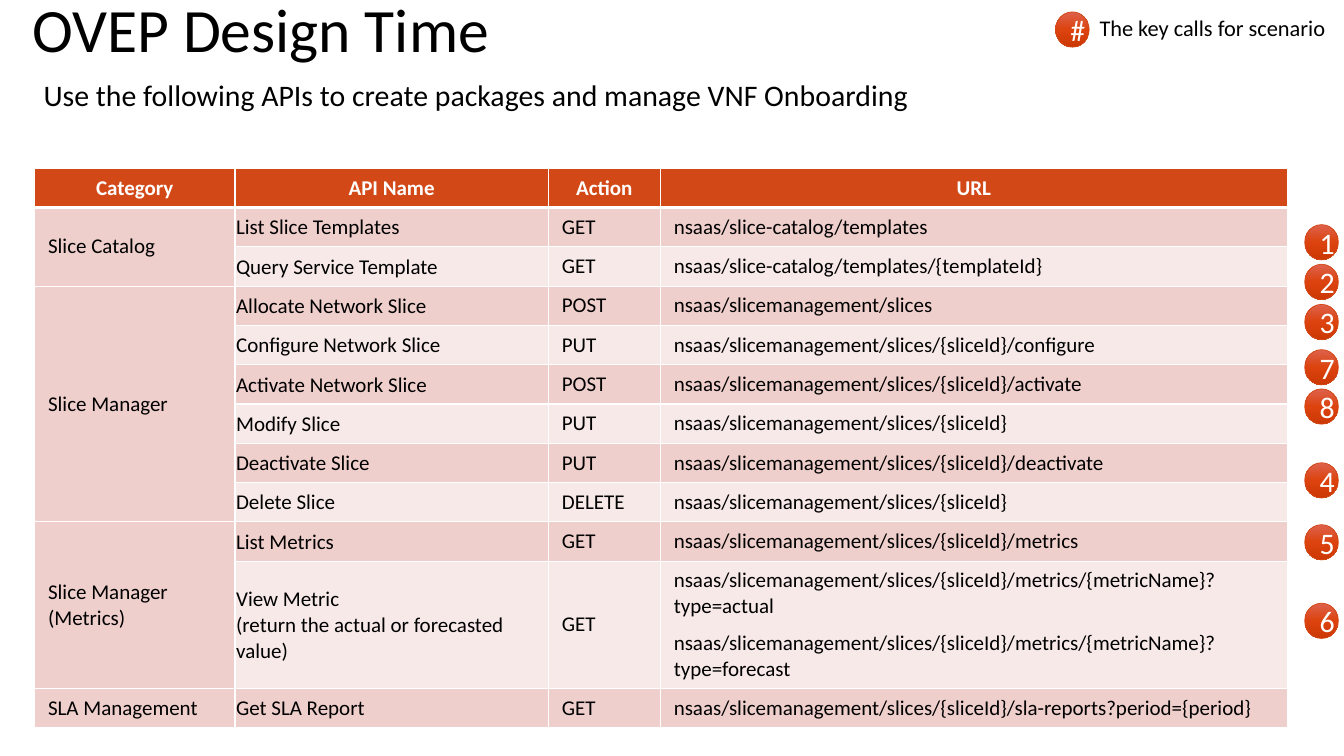
from lxml import etree
from pptx import Presentation
from pptx.dml.color import RGBColor
from pptx.enum.shapes import MSO_SHAPE as Preset
from pptx.enum.text import MSO_ANCHOR as Anchor, MSO_AUTO_SIZE as AutoSize, PP_ALIGN as Align
from pptx.oxml import parse_xml
from pptx.oxml.ns import nsdecls, qn
from pptx.util import Cm, Pt

ORANGE, DARK_BAND, LIGHT_BAND = "D34817", "EFCFCC", "F7E9E8"
BLACK, WHITE = "000000", "FFFFFF"
BADGE_STOPS = {0: "DD624D", 50000: "DC430E", 100000: "CC3804"}
BADGE_WIDTH, BADGE_HEIGHT = Cm(0.85), Cm(0.89)
BADGE_LEFT = Cm(32.88)
BADGE_TOPS = {"1": 5.66, "2": 6.66, "3": 7.67, "4": 11.66,
              "5": 13.22, "6": 15.2, "7": 8.81, "8": 9.8}

HEADINGS = ["Category", "API Name", "Action", "URL"]
COLUMN_WIDTHS = [5.05, 7.9, 2.82, 15.8]
ROW_HEIGHT, METRIC_ROW_HEIGHT = Cm(0.99), Cm(3.21)
CATALOG = "nsaas/slice-catalog/templates"
SLICES = "nsaas/slicemanagement/slices"
SLICE = SLICES + "/{sliceId}"
METRIC = SLICE + "/metrics/{metricName}?type="
CATEGORIES = [
    ("Slice Catalog", [
        ("List Slice Templates", "GET", CATALOG),
        ("Query Service Template", "GET", CATALOG + "/{templateId}"),
    ]),
    ("Slice Manager", [
        ("Allocate Network Slice", "POST", SLICES),
        ("Configure Network Slice", "PUT", SLICE + "/configure"),
        ("Activate Network Slice", "POST", SLICE + "/activate"),
        ("Modify Slice", "PUT", SLICE),
        ("Deactivate Slice", "PUT", SLICE + "/deactivate"),
        ("Delete Slice", "DELETE", SLICE),
    ]),
    ("Slice Manager\n(Metrics)", [
        ("List Metrics", "GET", SLICE + "/metrics"),
        ("View Metric\n(return the actual or forecasted value)", "GET",
         METRIC + "actual\n" + METRIC + "forecast"),
    ]),
    ("SLA Management", [
        ("Get SLA Report", "GET", SLICE + "/sla-reports?period={period}"),
    ]),
]

CELL_MARGINS = {"margin_left": Cm(0.34), "margin_top": Cm(0.17),
                "margin_right": Cm(0.34), "margin_bottom": Cm(0.17)}
NAME_MARGINS = {"margin_left": Cm(0.03), "margin_top": Cm(0.03),
                "margin_right": Cm(0.03), "margin_bottom": 0}
CENTERED = {"alignment": Align.CENTER}
LEFT = {"alignment": Align.LEFT}
SPACED = {"space_before": Pt(4), "space_after": Pt(4)}


def apply_format(target, values):
    for name, value in values.items():
        setattr(target, name, value)


def set_color(color, hex_value):
    color.rgb = RGBColor.from_string(hex_value)


def set_fill(fill, hex_value):
    fill.solid()
    set_color(fill.fore_color, hex_value)


def write_text(text_frame, text, size, color, paragraph_format, bold=False):
    text_frame.text = text
    for paragraph in text_frame.paragraphs:
        apply_format(paragraph, paragraph_format)
        for run in paragraph.runs:
            apply_format(run.font, {"name": "Calibri", "size": Pt(size), "bold": bold})
            set_color(run.font.color, color)


def add_title(slide, text):
    title = slide.shapes.title
    apply_format(title, {"left": Cm(0.56), "top": Cm(0.38),
                         "width": Cm(28.5), "height": Cm(0.86)})
    apply_format(title.text_frame, {"vertical_anchor": Anchor.MIDDLE,
                                    "auto_size": AutoSize.NONE, "word_wrap": True})
    write_text(title.text_frame, text, 44, BLACK, {**LEFT, "line_spacing": 0.9})


def add_text(shapes, text, box, size, paragraph_format, wrap):
    text_box = shapes.add_textbox(*map(Cm, box))
    text_box.text_frame.word_wrap = wrap
    write_text(text_box.text_frame, text, size, BLACK, paragraph_format)


def add_badge(shapes, text, left, top):
    badge = shapes.add_shape(Preset.FLOWCHART_CONNECTOR, left, top,
                             BADGE_WIDTH, BADGE_HEIGHT)
    badge.shadow.inherit = False
    badge.fill.gradient()
    badge.fill.gradient_angle = 270
    stop_list = badge._element.spPr.find(qn("a:gradFill")).find(qn("a:gsLst"))
    for stop in list(stop_list):
        stop_list.remove(stop)
    for position, hex_value in BADGE_STOPS.items():
        stop = etree.SubElement(stop_list, qn("a:gs"), pos=str(position))
        etree.SubElement(stop, qn("a:srgbClr"), val=hex_value)
    set_fill(badge.line.fill, ORANGE)
    badge.line.width = Pt(0.5)
    badge.text_frame.vertical_anchor = Anchor.MIDDLE
    write_text(badge.text_frame, text, 21.33, WHITE, CENTERED)


def add_legend(slide):
    group = slide.shapes.add_group_shape()
    add_badge(group.shapes, "#", Cm(26.6), Cm(0.3))
    add_text(group.shapes, "The key calls for scenario",
             (27.46, 0.23, 6.27, 0.94), 16, LEFT, False)


def set_borders(cell, top, bottom):
    properties = cell._tc.get_or_add_tcPr()
    for side, points in {"L": 1, "R": 1, "T": top, "B": bottom}.items():
        properties.append(parse_xml(
            f'<a:ln{side} {nsdecls("a")} w="{Pt(points)}"><a:solidFill>'
            f'<a:srgbClr val="{WHITE}"/></a:solidFill></a:ln{side}>'))


def style_cell(cell, row, fill, margins):
    set_borders(cell, 3 if row == 1 else 1, 3 if row == 0 else 1)
    set_fill(cell.fill, fill)
    apply_format(cell, {**margins, "vertical_anchor": Anchor.MIDDLE})


def add_api_table(slide):
    row_count = 1 + sum(len(calls) for _, calls in CATEGORIES)
    table = slide.shapes.add_table(row_count, len(HEADINGS), Cm(0.87), Cm(4.24),
                                   Cm(sum(COLUMN_WIDTHS)), ROW_HEIGHT * row_count).table
    table.horz_banding = False
    for column, width in zip(table.columns, COLUMN_WIDTHS):
        column.width = Cm(width)
    for column, heading in enumerate(HEADINGS):
        cell = table.cell(0, column)
        style_cell(cell, 0, ORANGE, CELL_MARGINS)
        write_text(cell.text_frame, heading, 15, WHITE, CENTERED, True)
    row = 1
    for category, calls in CATEGORIES:
        category_cell = table.cell(row, 0)
        if len(calls) > 1:
            category_cell.merge(table.cell(row + len(calls) - 1, 0))
        write_text(category_cell.text_frame, category, 15, BLACK, LEFT)
        for call in calls:
            band = DARK_BAND if row % 2 else LIGHT_BAND
            style_cell(table.cell(row, 0), row, DARK_BAND, CELL_MARGINS)
            for column, text in enumerate(call, 1):
                cell = table.cell(row, column)
                is_name = column == 1
                style_cell(cell, row, band, NAME_MARGINS if is_name else CELL_MARGINS)
                write_text(cell.text_frame, text, 15, BLACK, LEFT if is_name else SPACED)
            if call[0].startswith("View Metric"):
                table.rows[row].height = METRIC_ROW_HEIGHT
            row += 1


def main():
    presentation = Presentation()
    apply_format(presentation, {"slide_width": Cm(33.87), "slide_height": Cm(19.05)})
    slide = presentation.slides.add_slide(presentation.slide_layouts[5])
    add_title(slide, "OVEP Design Time")
    add_text(slide.shapes, "Use the following APIs to create packages and manage VNF Onboarding",
             (0.85, 1.9, 32.18, 1.4), 21.33,
             {"line_spacing": 0.9, "space_before": Pt(10)}, True)
    add_api_table(slide)
    for number, top in BADGE_TOPS.items():
        add_badge(slide.shapes, number, BADGE_LEFT, Cm(top))
    add_legend(slide)
    presentation.save("out.pptx")


if __name__ == "__main__":
    main()
